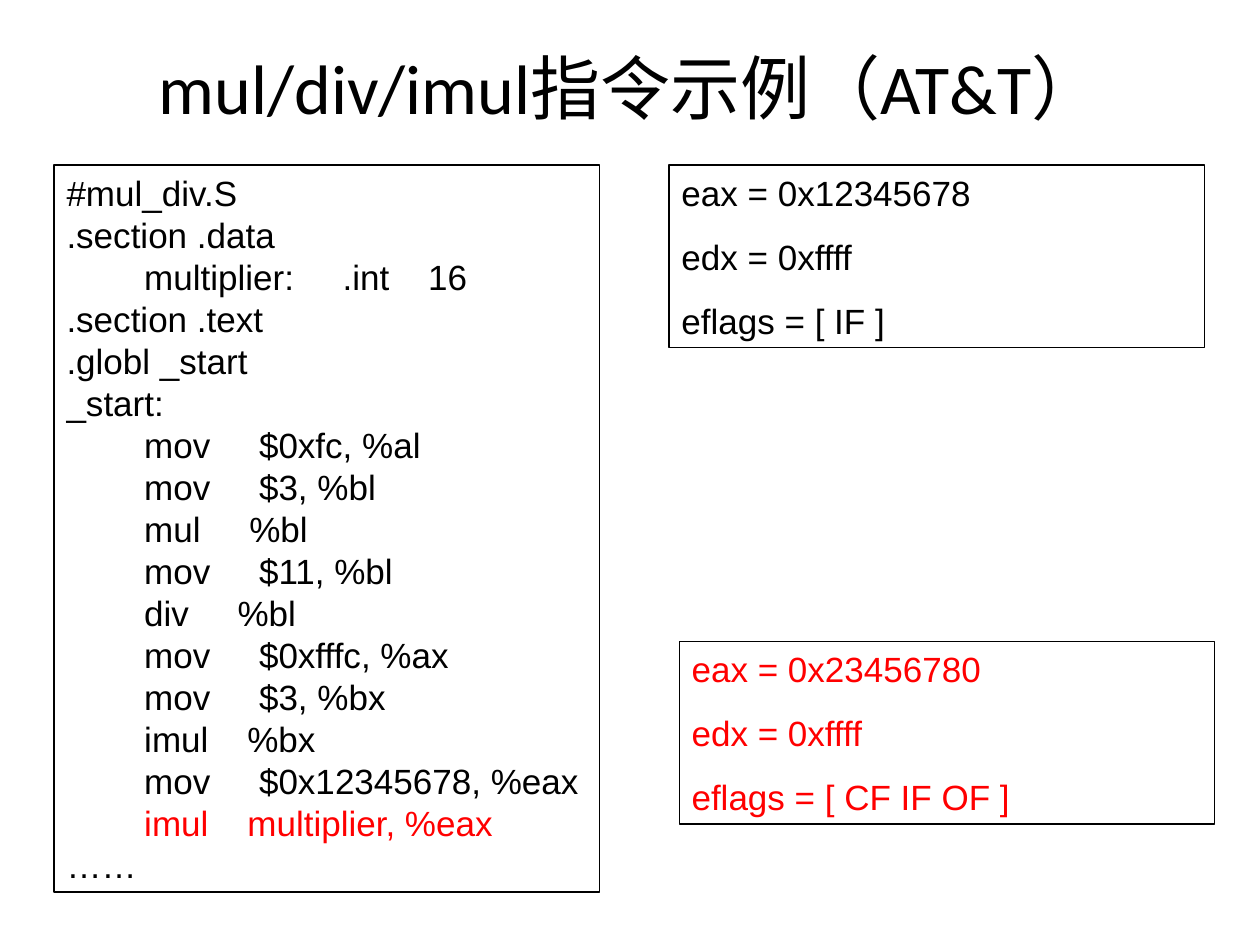
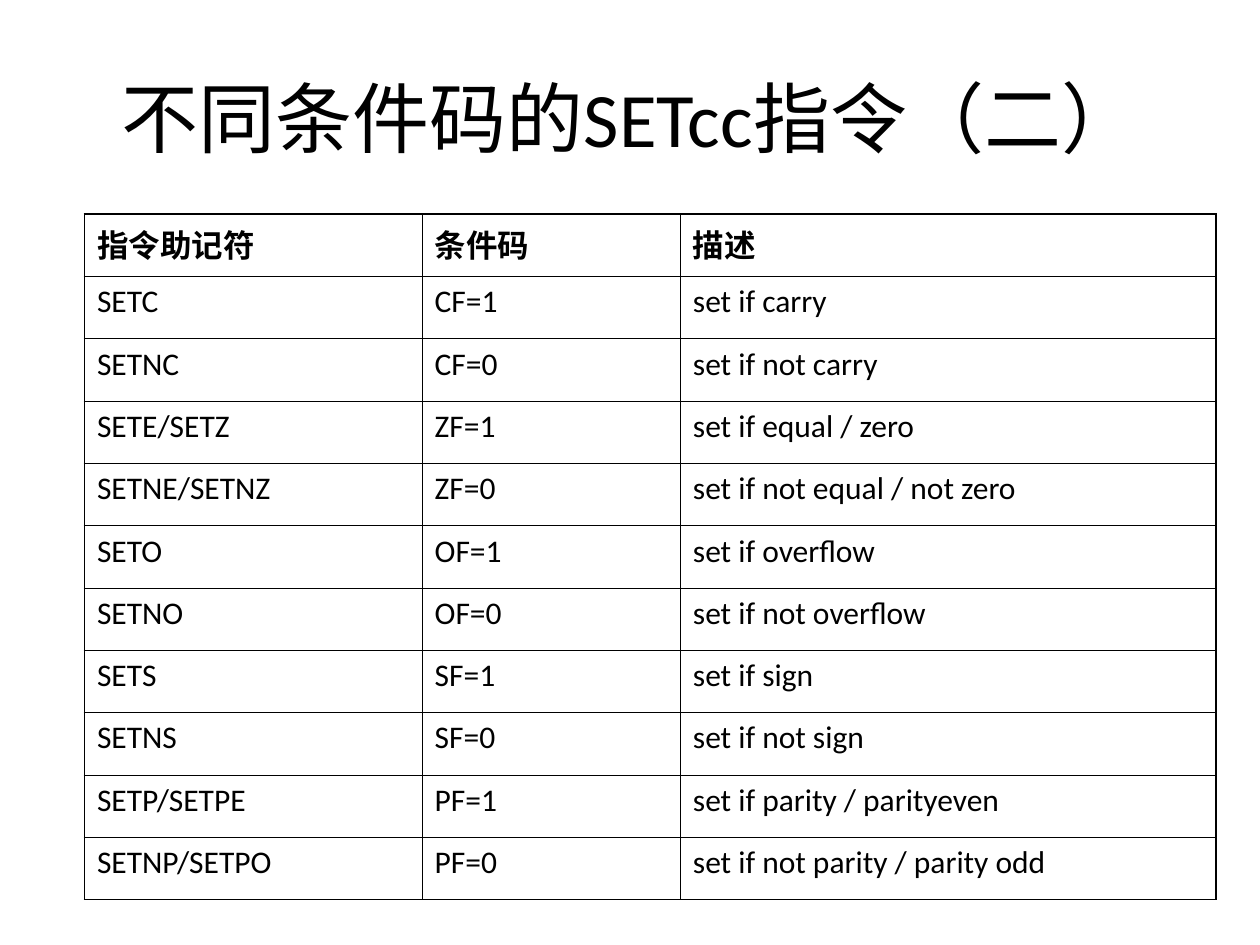
from dataclasses import dataclass

from lxml import etree
from pptx import Presentation
from pptx.dml.color import RGBColor
from pptx.enum import shapes, text
from pptx.oxml import ns
from pptx.util import Inches, Pt

BLACK = RGBColor(0x00, 0x00, 0x00)
RED = RGBColor(0xFF, 0x00, 0x00)
CODE_FONT = "Arial"
MAIN_FONT = "Calibri"
THIN, THICK = Pt(0.45), Pt(1.08)


@dataclass
class Box:
    left: float
    top: float
    width: float
    height: float
    lines: list[str]
    gap: float = 0
    color: RGBColor = BLACK
    marked: str = ""  # the line shown in red


CODE = """#mul_div.S
.section .data
        multiplier:     .int    16
.section .text
.globl _start
_start:
        mov     $0xfc, %al
        mov     $3, %bl
        mul     %bl
        mov     $11, %bl
        div     %bl
        mov     $0xfffc, %ax
        mov     $3, %bx
        imul    %bx
        mov     $0x12345678, %eax
        imul    multiplier, %eax
……""".split("\n")

BOXES = [
    Box(0.43, 1.31, 4.33, 5.77, CODE, marked="        imul    multiplier, %eax"),
    Box(5.31, 1.31, 4.25, 1.45,
        ["eax = 0x12345678", "edx = 0xffff", "eflags = [ IF ]"], 12.5),
    Box(5.39, 5.09, 4.25, 1.45,
        ["eax = 0x23456780", "edx = 0xffff", "eflags = [ CF IF OF ]"], 12.5, RED),
]

COLUMNS = [2.68, 2.05, 4.25]
ROWS = [
    ("指令助记符", "条件码", "描述"),
    ("SETC", "CF=1", "set if carry"),
    ("SETNC", "CF=0", "set if not carry"),
    ("SETE/SETZ", "ZF=1", "set if equal / zero"),
    ("SETNE/SETNZ", "ZF=0", "set if not equal / not zero"),
    ("SETO", "OF=1", "set if overflow"),
    ("SETNO", "OF=0", "set if not overflow"),
    ("SETS", "SF=1", "set if sign"),
    ("SETNS", "SF=0", "set if not sign"),
    ("SETP/SETPE", "PF=1", "set if parity / parityeven"),
    ("SETNP/SETPO", "PF=0", "set if not parity / parity odd"),
]


def style(para, face: str, size: float, color: RGBColor = BLACK, bold: bool = False) -> None:
    font = para.font
    font.name, font.size, font.bold = face, Pt(size), bold
    font.color.rgb = color


def add_slide(deck, words: str, height: float, size: float):
    """Add a title-only slide with its heading in place."""
    slide = deck.slides.add_slide(deck.slide_layouts[5])
    title = slide.shapes.title
    title.left, title.top = Inches(0.5), Inches(0.3)
    title.width, title.height = Inches(9), Inches(height)
    frame = title.text_frame
    frame.text = words
    frame.auto_size = text.MSO_AUTO_SIZE.NONE
    frame.vertical_anchor = text.MSO_ANCHOR.MIDDLE
    para = frame.paragraphs[0]
    para.alignment = text.PP_ALIGN.CENTER
    style(para, MAIN_FONT, size)
    return slide


def add_box(slide, box: Box) -> None:
    """Draw an outlined box of code or register values."""
    shape = slide.shapes.add_shape(
        shapes.MSO_SHAPE.RECTANGLE, Inches(box.left), Inches(box.top),
        Inches(box.width), Inches(box.height))
    shape.shadow.inherit = False
    shape.fill.background()
    shape.line.color.rgb = BLACK
    shape.line.width = Pt(0.75)
    frame = shape.text_frame
    frame.word_wrap = True
    frame.auto_size = text.MSO_AUTO_SIZE.SHAPE_TO_FIT_TEXT
    frame.vertical_anchor = text.MSO_ANCHOR.TOP
    frame.text = "\n".join(box.lines)
    for i, para in enumerate(frame.paragraphs):
        para.alignment = text.PP_ALIGN.LEFT
        para.space_before = Pt(box.gap if i else 0)
        style(para, CODE_FONT, 20, RED if para.text == box.marked else box.color)


def set_edge(cell, side: str, width: int) -> None:
    line = etree.SubElement(cell._tc.get_or_add_tcPr(), ns.qn(f"a:ln{side}"), w=str(width))
    fill = etree.SubElement(line, ns.qn("a:solidFill"))
    etree.SubElement(fill, ns.qn("a:srgbClr"), val=str(BLACK))


def add_grid(slide) -> None:
    """Draw the instruction table with a heavier outer frame."""
    height = Inches(5.44)
    table = slide.shapes.add_table(
        len(ROWS), len(COLUMNS), Inches(0.67), Inches(1.7),
        Inches(sum(COLUMNS)), height).table
    table.first_row = table.horz_banding = False
    for col, width in zip(table.columns, COLUMNS):
        col.width = Inches(width)
    for r, row in enumerate(ROWS):
        table.rows[r].height = height // len(ROWS)
        for c, words in enumerate(row):
            cell = table.cell(r, c)
            outer = {"L": c == 0, "R": c == len(COLUMNS) - 1,
                     "T": r == 0, "B": r == len(ROWS) - 1}
            for side, thick in outer.items():
                set_edge(cell, side, THICK if thick else THIN)
            cell.fill.background()
            cell.text = words
            style(cell.text_frame.paragraphs[0], MAIN_FONT, 18, bold=r == 0)


def main() -> None:
    deck = Presentation()
    deck.slide_width, deck.slide_height = Inches(10), Inches(7.5)

    # Multiply and divide example
    slide = add_slide(deck, "mul/div/imul指令示例（AT&T）", 0.77, 40)
    for box in BOXES:
        add_box(slide, box)

    # SETcc table
    add_grid(add_slide(deck, "不同条件码的SETcc指令（二）", 1.25, 44))

    deck.save("out.pptx")


if __name__ == "__main__":
    main()
